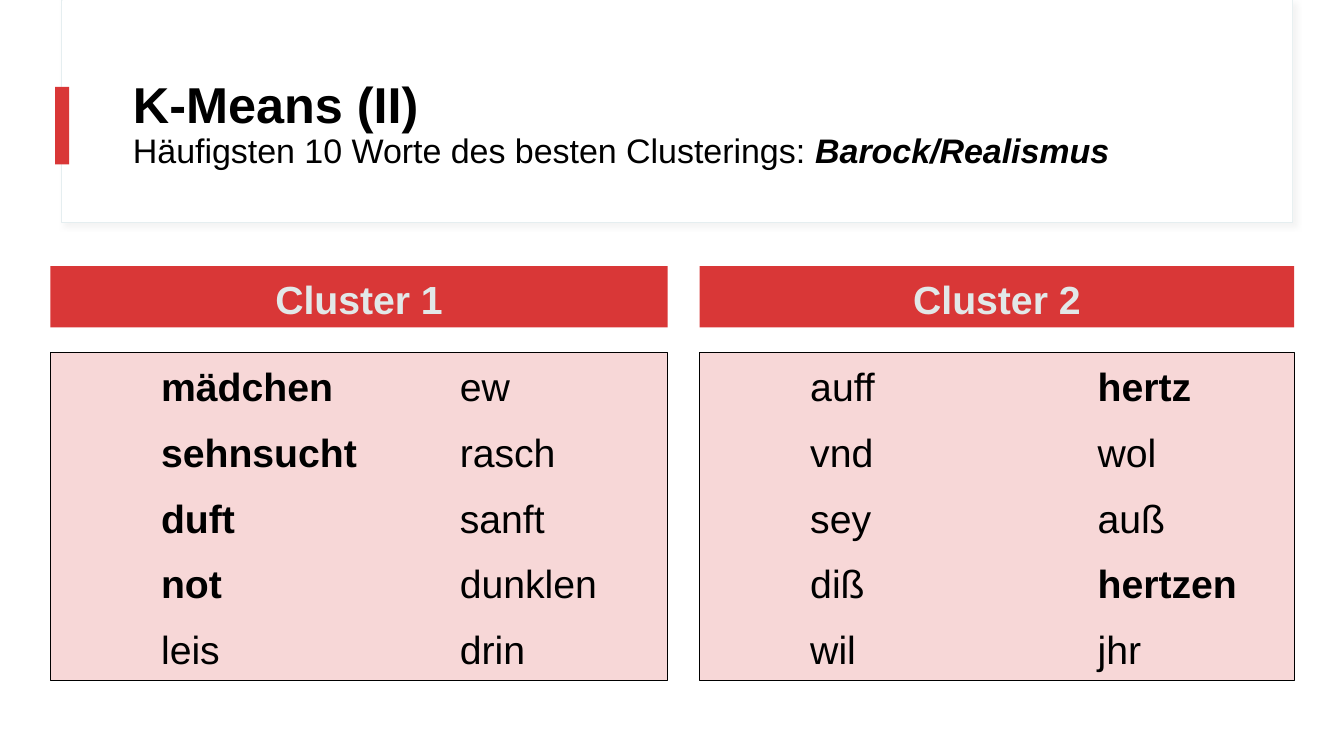
from lxml import etree
from pptx import Presentation
from pptx.dml.color import RGBColor
from pptx.enum.shapes import MSO_SHAPE
from pptx.enum.text import MSO_ANCHOR, MSO_AUTO_SIZE, PP_ALIGN
from pptx.oxml.ns import qn
from pptx.util import Pt

RECTANGLE = MSO_SHAPE.RECTANGLE
TOP, MIDDLE, BOTTOM = MSO_ANCHOR.TOP, MSO_ANCHOR.MIDDLE, MSO_ANCHOR.BOTTOM
LEFT, CENTER = PP_ALIGN.LEFT, PP_ALIGN.CENTER
NO_AUTOFIT = MSO_AUTO_SIZE.NONE

WHITE = RGBColor(0xFF, 0xFF, 0xFF)
BLACK = RGBColor(0x00, 0x00, 0x00)
RED = RGBColor(0xD9, 0x37, 0x37)
PINK = RGBColor(0xF7, 0xD7, 0xD7)
PALE_GREY = RGBColor(0xE2, 0xE8, 0xE8)
FRAME_GREY = RGBColor(0xE5, 0xEE, 0xF0)
SHADOW_GREY = RGBColor(0xD9, 0xD9, 0xD9)

FONT = "Arial"
CLUSTER_SIZE = 28
WORD_INDENT = 72

# heading, left, width, words, bold words
CLUSTERS = [
    ("Cluster 1", 36, 440.9,
     ["mädchen", "sehnsucht", "duft", "not", "leis",
      "ew", "rasch", "sanft", "dunklen", "drin"],
     {"mädchen", "sehnsucht", "duft", "not"}),
    ("Cluster 2", 499.7, 424.8,
     ["auff", "vnd", "sey", "diß", "wil",
      "hertz", "wol", "auß", "hertzen", "jhr"],
     {"hertz", "hertzen"}),
]


def add_box(slide, left, top, width, height, fill, line=None):
    box = slide.shapes.add_shape(RECTANGLE, Pt(left), Pt(top), Pt(width), Pt(height))
    box.shadow.inherit = False
    box.fill.solid()
    box.fill.fore_color.rgb = fill
    if line is None:
        box.line.fill.background()
    else:
        box.line.color.rgb = line
        box.line.width = Pt(0.75)
    return box


def add_soft_shadow(box):
    effects = box._element.spPr.find(qn("a:effectLst"))
    shadow = etree.SubElement(effects, qn("a:outerShdw"), blurRad=str(Pt(4)),
                              dist=str(Pt(3)), dir=str(45 * 60000), rotWithShape="0")
    color = etree.SubElement(shadow, qn("a:srgbClr"), val=str(SHADOW_GREY))
    etree.SubElement(color, qn("a:alpha"), val="30000")


def add_run(paragraph, text, size, color=BLACK, bold=False, italic=False):
    run = paragraph.add_run()
    run.text = text
    run.font.name = FONT
    run.font.size = Pt(size)
    run.font.color.rgb = color
    run.font.bold = bold
    run.font.italic = italic


def format_paragraph(paragraph, alignment):
    paragraph.alignment = alignment
    paragraph.line_spacing = 1.1
    paragraph.space_before = Pt(10)


def add_header_frame(slide):
    frame = add_box(slide, 43.9, 0, 879.1, 159.1, WHITE, FRAME_GREY)
    add_soft_shadow(frame)
    add_box(slide, 44.6, 0, 878.4, 158.4, WHITE)
    add_box(slide, 39.4, 62.1, 10.1, 55.4, RED)


def fill_title(slide):
    title = slide.shapes.title
    title.left, title.top, title.width, title.height = Pt(87.8), Pt(43.2), Pt(800.6), Pt(92.9)
    slide.shapes._spTree.append(title._element)  # bring in front of the header frame
    frame = title.text_frame
    frame.auto_size = NO_AUTOFIT
    frame.vertical_anchor = MIDDLE
    paragraph = frame.paragraphs[0]
    paragraph.alignment = LEFT
    paragraph.line_spacing = 0.9
    add_run(paragraph, "K-Means (II)", 36, bold=True)
    paragraph.add_line_break()
    add_run(paragraph, "Häufigsten 10 Worte des besten Clusterings: ", 24.3)
    add_run(paragraph, "Barock/Realismus", 24.3, bold=True, italic=True)


def add_cluster_heading(slide, heading, left, width):
    frame = add_box(slide, left, 190, width, 43.9, RED).text_frame
    frame.vertical_anchor = BOTTOM
    format_paragraph(frame.paragraphs[0], CENTER)
    add_run(frame.paragraphs[0], heading, CLUSTER_SIZE, PALE_GREY, bold=True)


def add_word_list(slide, left, width, words, bold_words):
    """Box whose indented words flow through two text columns."""
    frame = add_box(slide, left, 252, width, 234, PINK, BLACK).text_frame
    frame.vertical_anchor = TOP
    frame._txBody.bodyPr.set("numCol", "2")
    for index, word in enumerate(words):
        paragraph = frame.add_paragraph() if index else frame.paragraphs[0]
        format_paragraph(paragraph, LEFT)
        paragraph._p.get_or_add_pPr().set("marL", str(Pt(WORD_INDENT)))
        add_run(paragraph, word, CLUSTER_SIZE, bold=word in bold_words)


def main():
    prs = Presentation()
    prs.slide_width, prs.slide_height = Pt(960), Pt(540)
    slide = prs.slides.add_slide(prs.slide_layouts[5])
    add_header_frame(slide)
    fill_title(slide)
    for heading, left, width, words, bold_words in CLUSTERS:
        add_cluster_heading(slide, heading, left, width)
        add_word_list(slide, left, width, words, bold_words)
    prs.save("out.pptx")


if __name__ == "__main__":
    main()
